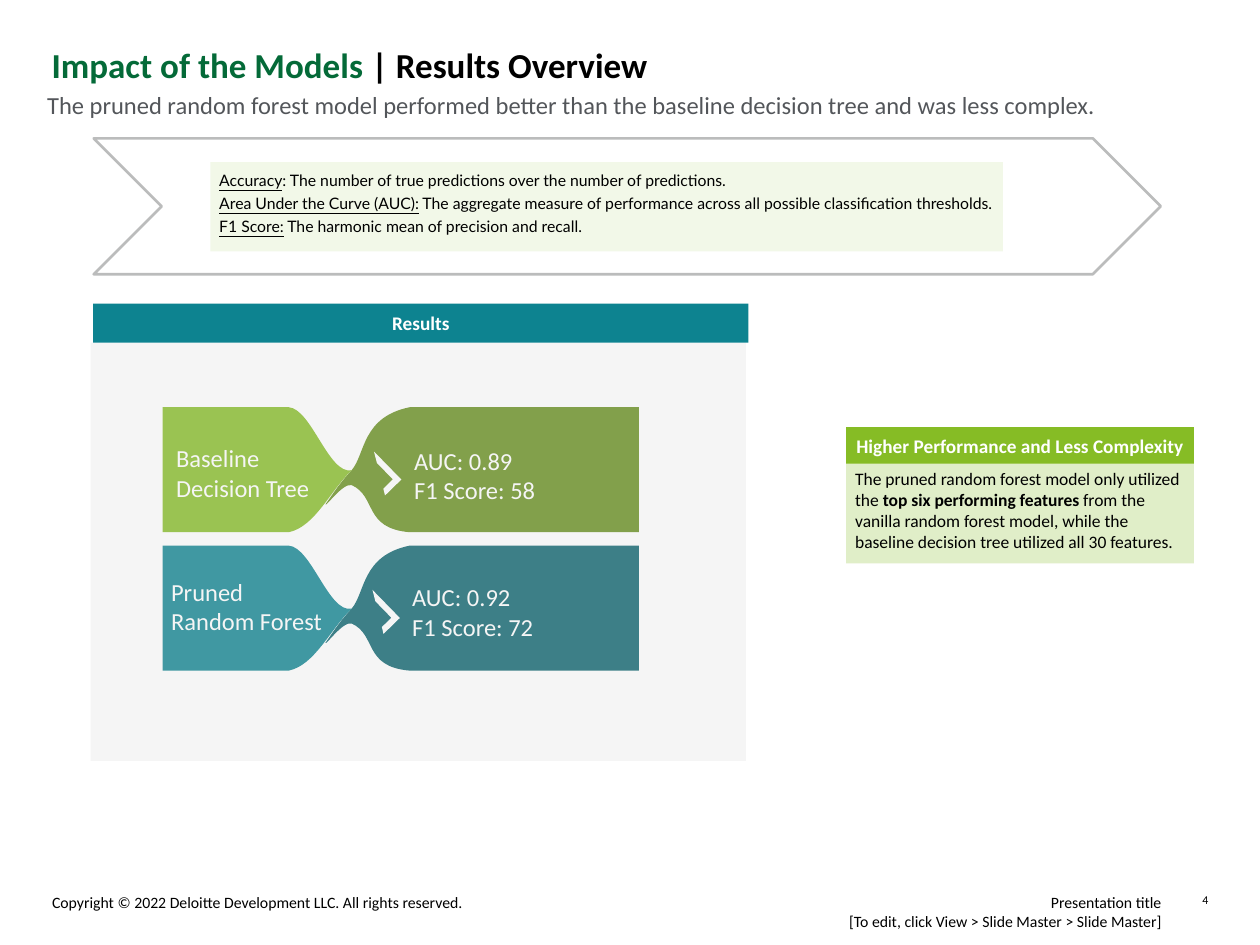
from lxml import etree
from pptx import Presentation
from pptx.dml.color import RGBColor
from pptx.enum.shapes import MSO_SHAPE
from pptx.enum.text import MSO_ANCHOR, MSO_AUTO_SIZE, PP_ALIGN
from pptx.oxml.ns import qn
from pptx.util import Cm, Pt

RECTANGLE, CHEVRON, HALF_FRAME = MSO_SHAPE.RECTANGLE, MSO_SHAPE.CHEVRON, MSO_SHAPE.HALF_FRAME
TOP, MIDDLE = MSO_ANCHOR.TOP, MSO_ANCHOR.MIDDLE
LEFT, CENTER, RIGHT = PP_ALIGN.LEFT, PP_ALIGN.CENTER, PP_ALIGN.RIGHT
NO_AUTOFIT = MSO_AUTO_SIZE.NONE

GREEN, DARK_GREEN, TITLE_GREEN = "86BC25", "658D1C", "046A38"
TEAL, DARK_TEAL = "0D8390", "0A626C"
WHITE, BLACK, GRAY, LINE_GRAY, PANEL_GRAY = "FFFFFF", "000000", "53565A", "BBBCBC", "D9D9D9"

# Outlines relative to the top left of a flow row: one pair is a line end,
# three pairs are the controls and the end of a cubic curve.
LABEL_OUTLINE = [
    [(0, 0)],
    [(2.54, 0)],
    [(3, 0.03), (3.35, 1.37), (3.81, 1.27)],
    [(3.38, 1.68), (3.07, 2.41), (2.54, 2.52)],
    [(0, 2.52)],
    [(0, 0)],
]
SCORE_OUTLINE = [
    [(9.6, 0)],
    [(4.98, 0)],
    [(4.01, 0.2), (4.09, 0.94), (3.81, 1.27)],
    [(3.53, 1.57), (3.4, 1.8), (3.28, 1.96)],
    [(3.28, 2.03), (3.63, 1.52), (3.81, 1.57)],
    [(4.32, 1.8), (4.04, 2.44), (4.98, 2.52)],
    [(9.6, 2.52)],
    [(9.6, 0)],
]


def color(code):
    return RGBColor.from_string(code)


def bend(shape, outline):
    """Turn the straight segments of a freeform into the curves of its outline."""
    origin_x = min(segment[-1][0] for segment in outline)
    lines = list(shape.element.iter(qn("a:lnTo")))
    for line, segment in zip(lines, outline[1:]):
        if len(segment) == 3:
            line.addprevious(curve := etree.Element(qn("a:cubicBezTo")))
            for x, y in segment:
                etree.SubElement(curve, qn("a:pt"), x=str(Cm(x - origin_x)), y=str(Cm(y)))
            line.getparent().remove(line)


def write(frame, paragraphs, size, ink=BLACK, font="Calibri", bold=False,
          align=LEFT, anchor=TOP, inset=0.0, gap=0):
    """Fill a text frame; a span is a string, a line break or a (string, format) pair."""
    frame.word_wrap = True
    frame.auto_size = NO_AUTOFIT
    frame.vertical_anchor = anchor
    frame.margin_left = frame.margin_right = Cm(inset)
    frame.margin_top = frame.margin_bottom = Cm(inset)
    for index, spans in enumerate(paragraphs):
        para = frame.paragraphs[0] if index == 0 else frame.add_paragraph()
        para.alignment = align
        para.space_before = Pt(gap if index else 0)
        for span in [spans] if isinstance(spans, str) else spans:
            if span == "\n":
                para.add_line_break()
                etree.SubElement(para._p[-1], qn("a:rPr"), sz=str(size * 100))
                continue
            text, changes = (span, {}) if isinstance(span, str) else span
            run = para.add_run()
            run.text = text
            run.font.name = font
            run.font.size = Pt(size)
            run.font.bold = changes.get("bold", bold)
            run.font.underline = changes.get("underline", False)
            run.font.color.rgb = color(changes.get("ink", ink))


class SlideBuilder:
    def __init__(self, slide):
        self.slide = slide
        self.shapes = slide.shapes

    def placeholder(self, index, place, paragraphs, **style):
        box = self.slide.placeholders[index]
        box.left, box.top, box.width, box.height = map(Cm, place)
        write(box.text_frame, paragraphs, **style)
        return box

    def text(self, place, paragraphs, **style):
        box = self.shapes.add_textbox(*map(Cm, place))
        write(box.text_frame, paragraphs, **style)

    def paint(self, shape, fill=None, opacity=100, line=None):
        shape.shadow.inherit = False
        if fill:
            shape.fill.solid()
            shape.fill.fore_color.rgb = color(fill)
            if opacity < 100:
                tint = shape.element.spPr.find(qn("a:solidFill"))[0]
                etree.SubElement(tint, qn("a:alpha"), val=str(opacity * 1000))
        else:
            shape.fill.background()
        if line:
            shape.line.color.rgb = color(line)
            shape.line.width = Pt(1.5)
        else:
            shape.line.fill.background()

    def shape(self, kind, place, paragraphs=(), fill=None, opacity=100, line=None, **style):
        shape = self.shapes.add_shape(kind, *map(Cm, place))
        self.paint(shape, fill, opacity, line)
        if paragraphs:
            write(shape.text_frame, paragraphs, inset=0.18, **style)
        return shape

    def outline(self, left, top, outline, fill):
        ends = [(Cm(left + x), Cm(top + y)) for x, y in (segment[-1] for segment in outline)]
        builder = self.shapes.build_freeform(*ends[0])
        builder.add_line_segments(ends[1:], close=True)
        shape = builder.convert_to_shape()
        bend(shape, outline)
        self.paint(shape, fill)

    def arrow_mark(self, left, top):
        mark = self.shape(HALF_FRAME, (left, top, 0.46, 0.79), fill=WHITE)
        mark.adjustments[0], mark.adjustments[1] = 0.266, 0.259
        mark.rotation = 135.7

    def flow_row(self, top, fills, label, label_place, scores, score_place, mark_left):
        self.outline(3.28, top, SCORE_OUTLINE, fills[1])
        self.outline(3.28, top, LABEL_OUTLINE, fills[0])
        self.text(label_place, [label], size=14, ink=WHITE, anchor=MIDDLE)
        self.arrow_mark(mark_left, top + 0.94)
        self.text(score_place, scores, size=14, ink=WHITE)


def main():
    deck = Presentation()
    deck.slide_width, deck.slide_height = Cm(25.4), Cm(19.05)
    page = SlideBuilder(deck.slides.add_slide(deck.slide_layouts[1]))

    page.placeholder(0, (1.04, 0.88, 23.32, 0.94),
                     [[("Impact of the Models ", {"ink": TITLE_GREEN}), "| Results Overview"]],
                     size=20, bold=True)
    subtitle = page.placeholder(
        1, (0.95, 1.82, 23.32, 2.11),
        ["The pruned random forest model performed better than the baseline decision tree "
         "and was less complex."], size=14, ink=GRAY)
    layout = subtitle.text_frame.paragraphs[0]._p.get_or_add_pPr()
    layout.set("marL", "0")
    layout.set("indent", "0")
    etree.SubElement(layout, qn("a:buNone"))

    page.text((13.2, 18, 10.21, 0.76),
              [["Presentation title", "\n", "[To edit, click View > Slide Master > Slide Master]"]],
              size=9, align=RIGHT)
    page.text((1.05, 18, 11.15, 0.28),
              ["Copyright © 2022 Deloitte Development LLC. All rights reserved."], size=9)
    page.text((23.72, 18, 0.64, 0.28), ["4"], size=6.8, align=RIGHT)

    page.flow_row(8.21, (GREEN, DARK_GREEN), "Baseline Decision Tree", (3.55, 8.49, 2.79, 2.08),
                  ["AUC: 0.89", "F1 Score: 58"], (8.35, 8.99, 4.04, 1.22), 7.42)
    page.flow_row(11, (TEAL, DARK_TEAL), "Pruned Random Forest", (3.45, 11.19, 3.08, 2.06),
                  ["AUC: 0.92", "F1 Score: 72"], (8.31, 11.74, 4.55, 1.63), 7.39)

    underline = {"underline": True}
    page.shape(RECTANGLE, (4.24, 3.27, 15.98, 1.8), [
        [("Accuracy", underline),
         ": The number of true predictions over the number of predictions."],
        [("Area Under the Curve (AUC):", underline),
         " The aggregate measure of performance across all possible classification thresholds."],
        [("F1 Score:", underline), " The harmonic mean of precision and recall."],
    ], fill=GREEN, opacity=10, size=9, font="Lato", gap=2.2)
    page.shape(CHEVRON, (1.89, 2.79, 21.51, 2.74), line=LINE_GRAY)

    heading = {"size": 11, "ink": WHITE, "bold": True, "align": CENTER, "anchor": MIDDLE}
    page.shape(RECTANGLE, (1.83, 6.91, 13.21, 8.43), fill=PANEL_GRAY, opacity=25)
    page.shape(RECTANGLE, (1.88, 6.12, 13.21, 0.79), ["Results"], fill=TEAL, **heading)
    page.shape(RECTANGLE, (17.06, 8.61, 7.01, 0.74),
               ["Higher Performance and Less Complexity"], fill=GREEN, **heading)
    page.shape(RECTANGLE, (17.06, 9.25, 7.01, 2.11), [
        ["The pruned random forest model only utilized the ",
         ("top six performing features ", {"bold": True}),
         "from the vanilla random forest model, while the baseline decision tree "
         "utilized all 30 features."],
    ], fill=GREEN, opacity=25, size=10)

    deck.save("out.pptx")


if __name__ == "__main__":
    main()
